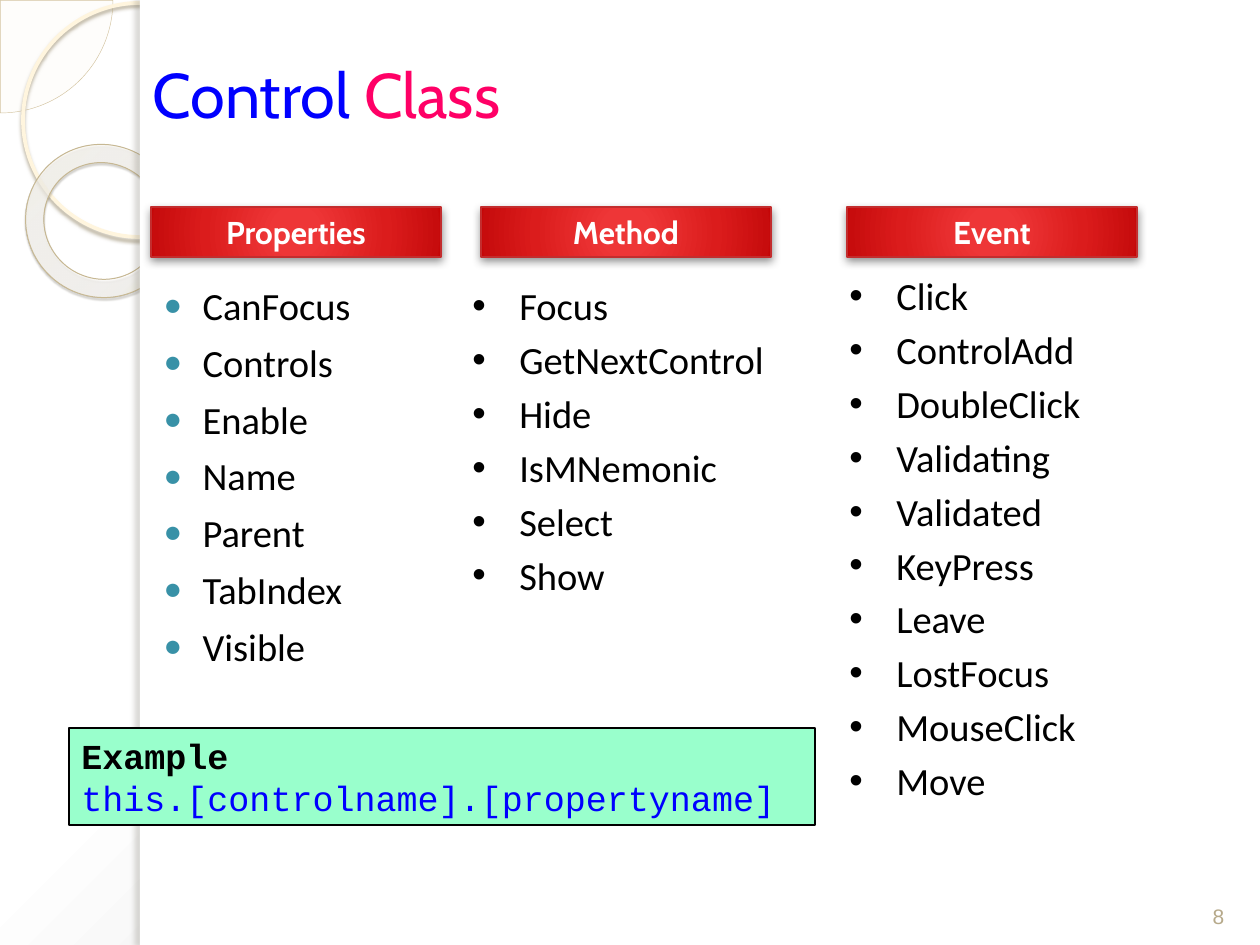
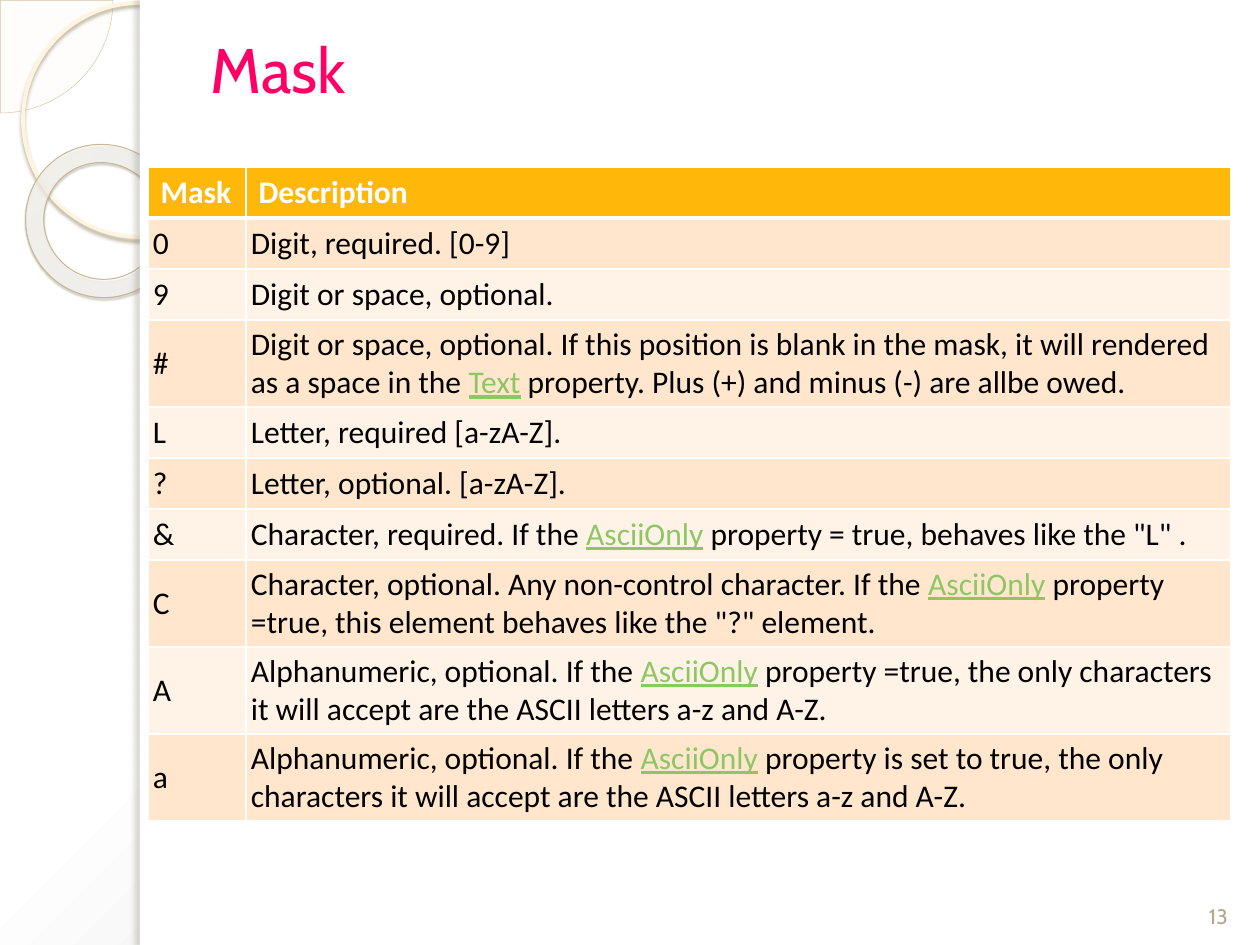
import pptx
import pptx.dml.color
import pptx.enum.shapes
import pptx.enum.text
import pptx.oxml.ns
import pptx.oxml.xmlchemy
import pptx.util
from lxml import etree

RGBColor = pptx.dml.color.RGBColor
SHAPE = pptx.enum.shapes.MSO_SHAPE
ALIGN = pptx.enum.text.PP_ALIGN
ANCHOR = pptx.enum.text.MSO_ANCHOR
Pt = pptx.util.Pt
qn = pptx.oxml.ns.qn

EMU_PER_PX = 914400 / 126

WHITE = RGBColor(0xFF, 0xFF, 0xFF)
BLACK = RGBColor(0x00, 0x00, 0x00)
BLUE = RGBColor(0x00, 0x00, 0xFF)
PINK = RGBColor(0xFF, 0x00, 0x66)
TEAL = RGBColor(0x38, 0x91, 0xA7)
MINT = RGBColor(0x99, 0xFF, 0xCC)
RED_LINE = RGBColor(0xC3, 0x2D, 0x2E)
LINK_GREEN = RGBColor(0x8D, 0xC7, 0x65)
PAGE_TAN = RGBColor(0xB6, 0xA9, 0x8A)
AMBER = RGBColor(0xFE, 0xB8, 0x0A)
BAND_DARK = RGBColor(0xFF, 0xE6, 0xCC)
BAND_LIGHT = RGBColor(0xFF, 0xF3, 0xE7)
CREAM = RGBColor(0xFE, 0xFA, 0xF4)
PIE_LINE = RGBColor(0xD3, 0xC3, 0x9F)
RING_LINE = RGBColor(0xFF, 0xF5, 0xDE)
RING_SHADOW = RGBColor(0xB0, 0xA6, 0x8F)
DONUT_LINE = RGBColor(0xC7, 0xB8, 0x93)
DONUT_SHADOW = RGBColor(0x5A, 0x54, 0x44)
BAND_SHADOW = RGBColor(0x73, 0x6F, 0x63)

# Gradients: stops of (position %, colour, opacity %), then the focus rectangle in %
PAGE_GRADIENT = (
    [(0, WHITE, 100), (40, WHITE, 100), (100, RGBColor(0xC5, 0xC5, 0xC5), 100)],
    (-24, -20, 124, 120))
DONUT_GRADIENT = (
    [(0, RGBColor(0xFF, 0xFC, 0xF6), 70), (70, RGBColor(0xFF, 0xFE, 0xFB), 55),
     (100, RGBColor(0xF0, 0xD2, 0x8E), 60)],
    (-408, -50, 508, 150))
RED_GRADIENT = (
    [(0, RGBColor(0xEF, 0x37, 0x37), 100), (15, RGBColor(0xEE, 0x36, 0x37), 100),
     (62, RGBColor(0xDB, 0x1C, 0x1C), 100), (97, RGBColor(0xC7, 0x0C, 0x0D), 100),
     (100, RGBColor(0xC3, 0x00, 0x01), 100)],
    (50, 50, 50, 50))

PROPERTIES = ["CanFocus", "Controls", "Enable", "Name", "Parent", "TabIndex", "Visible"]
METHODS = ["Focus", "GetNextControl", "Hide", "IsMNemonic", "Select", "Show"]
EVENTS = ["Click", "ControlAdd", "DoubleClick", "Validating", "Validated", "KeyPress",
          "Leave", "LostFocus", "MouseClick", "Move"]

# Every second part of a description is an underlined term
MASKS = [
    ("0", ["Digit, required. [0-9]"]),
    ("9", ["Digit or space, optional."]),
    ("#", ["Digit or space, optional. If this position is blank in the mask, it will "
           "rendered as a space in the ", "Text",
           " property. Plus (+) and minus (-) are allbe owed."]),
    ("L", ["Letter, required [a-zA-Z]."]),
    ("?", ["Letter, optional. [a-zA-Z]."]),
    ("&", ["Character, required. If the ", "AsciiOnly",
           ' property = true, behaves like the "L" .']),
    ("C", ["Character, optional. Any non-control character. If the ", "AsciiOnly",
           ' property =true, this element behaves like the "?" element.']),
    ("A", ["Alphanumeric, optional. If the ", "AsciiOnly",
           " property =true, the only characters it will accept are the ASCII letters "
           "a-z and A-Z."]),
    ("a", ["Alphanumeric, optional. If the ", "AsciiOnly",
           " property is set to true, the only characters it will accept are the ASCII "
           "letters a-z and A-Z."]),
]


def px(length):
    return pptx.util.Emu(round(length * EMU_PER_PX))


def add_xml(parent, tag, **attributes):
    values = {name: str(value) for name, value in attributes.items()}
    return etree.SubElement(parent, qn(tag), values)


def add_color(parent, color, opacity=100):
    node = add_xml(parent, "a:srgbClr", val=color)
    if opacity < 100:
        add_xml(node, "a:alpha", val=opacity * 1000)


def set_gradient(fill, properties, gradient):
    stops, focus = gradient
    fill.gradient()
    node = properties.find(qn("a:gradFill"))
    for child in list(node):
        node.remove(child)
    stop_list = add_xml(node, "a:gsLst")
    for position, color, opacity in stops:
        add_color(add_xml(stop_list, "a:gs", pos=position * 1000), color, opacity)
    circle = add_xml(node, "a:path", path="circle")
    sides = {side: value * 1000 for side, value in zip("ltrb", focus)}
    add_xml(circle, "a:fillToRect", **sides)


def set_shadow(shape, color, opacity, blur, distance, angle):
    effects = shape._element.spPr.find(qn("a:effectLst"))
    shadow = add_xml(effects, "a:outerShdw", blurRad=Pt(blur), dist=Pt(distance),
                     dir=angle * 60000, algn="tl", rotWithShape=0)
    add_color(shadow, color, opacity)


def set_borders(cell, top, bottom):
    properties = cell._tc.get_or_add_tcPr()
    borders = [("a:lnL", 1), ("a:lnR", 1), ("a:lnT", top), ("a:lnB", bottom)]
    for index, (tag, width) in enumerate(borders):
        line = etree.Element(qn(tag), w=str(Pt(width)))
        add_color(add_xml(line, "a:solidFill"), WHITE)
        properties.insert(index, line)


class Deck:
    def __init__(self):
        self.presentation = pptx.Presentation()
        self.presentation.slide_width = px(1260)
        self.presentation.slide_height = px(945)
        self.slide = None

    def start_slide(self, layout_index):
        layout = self.presentation.slide_layouts[layout_index]
        self.slide = self.presentation.slides.add_slide(layout)
        fill = self.slide.background.fill
        fill.solid()
        set_gradient(fill, self.slide._element.find(".//" + qn("p:bgPr")), PAGE_GRADIENT)
        self.side_decoration()

    def side_decoration(self):
        pie = self.shape(SHAPE.PIE, (-112, -112, 225, 225), CREAM, PIE_LINE, 0.25)
        pie.adjustments[0], pie.adjustments[1] = 0, 54.02
        add_xml(pie._element.spPr.find(".//" + qn("a:srgbClr")), "a:alpha", val=33000)
        ring = self.shape(SHAPE.OVAL, (23, 3, 234, 234), None, RING_LINE, 2.15)
        set_shadow(ring, RING_SHADOW, 85, 2, 2, 90)
        donut = self.shape(SHAPE.DONUT, (25, 145, 155, 152), DONUT_GRADIENT, DONUT_LINE, 0.58)
        donut.adjustments[0] = 0.12
        donut.rotation = 38.6
        set_shadow(donut, DONUT_SHADOW, 35, 1, 1.2, 75)
        self.shape(SHAPE.RECTANGLE, (140, 0, 1120, 945), WHITE)
        edge = self.shape(SHAPE.RECTANGLE, (140, 0, 10, 945), WHITE)
        set_shadow(edge, BAND_SHADOW, 25, 3, 3, 180)

    def shape(self, kind, box, fill=None, line=None, line_width=0.75):
        """Add a preset shape; fill is a colour, a gradient or None."""
        shape = self.slide.shapes.add_shape(kind, *map(px, box))
        shape.shadow.inherit = False
        if fill is None:
            shape.fill.background()
        elif isinstance(fill, RGBColor):
            shape.fill.solid()
            shape.fill.fore_color.rgb = fill
        else:
            set_gradient(shape.fill, shape._element.spPr, fill)
        if line is None:
            shape.line.fill.background()
        else:
            shape.line.color.rgb = line
            shape.line.width = Pt(line_width)
        return shape

    def run(self, paragraph, text, size, font, color=BLACK, bold=False, underline=False):
        run = paragraph.add_run()
        run.text = text
        run.font.size = Pt(size)
        run.font.name = font
        run.font.color.rgb = color
        run.font.bold = bold
        run.font.underline = underline

    def place(self, placeholder, box):
        """Move a placeholder to box and in front of the decoration."""
        placeholder.left, placeholder.top, placeholder.width, placeholder.height = map(px, box)
        self.slide.shapes._spTree.append(placeholder._element)

    def title(self, left, top, *parts):
        title = self.slide.shapes.title
        self.place(title, (left, top, 1033, 137))
        title.text_frame.vertical_anchor = ANCHOR.MIDDLE
        paragraph = title.text_frame.paragraphs[0]
        paragraph.alignment = ALIGN.LEFT
        for text, color in parts:
            self.run(paragraph, text, 36, "Cabin", color)

    def bullets(self, frame, items, indent, hanging, space, mark, color=BLACK, percent=100):
        frame.word_wrap = True
        for index, item in enumerate(items):
            paragraph = frame.paragraphs[0] if index == 0 else frame.add_paragraph()
            paragraph.space_before = Pt(space)
            properties = paragraph._p.get_or_add_pPr()
            properties.set("marL", str(px(indent)))
            properties.set("indent", str(-px(hanging)))
            add_color(add_xml(properties, "a:buClr"), color)
            add_xml(properties, "a:buSzPct", val=percent * 1000)
            add_xml(properties, "a:buFont", typeface="Arial")
            add_xml(properties, "a:buChar", char=mark)
            self.run(paragraph, item, 22, "Calibri")

    def body_list(self, box, items):
        body = self.slide.placeholders[1]
        self.place(body, box)
        self.bullets(body.text_frame, items, 50, 39, 6, "●", TEAL, 80)

    def text_list(self, box, items):
        text_box = self.slide.shapes.add_textbox(*map(px, box))
        self.bullets(text_box.text_frame, items, 47, 47, 4.4, "•")

    def column_header(self, left, text):
        header = self.shape(SHAPE.RECTANGLE, (left, 207, 290, 50), RED_GRADIENT, RED_LINE)
        set_shadow(header, BLACK, 43, 5, 2, 90)
        header.text_frame.vertical_anchor = ANCHOR.MIDDLE
        paragraph = header.text_frame.paragraphs[0]
        paragraph.alignment = ALIGN.CENTER
        self.run(paragraph, text, 18, "Cabin", WHITE, bold=True)

    def code_example(self, box, heading, code):
        example = self.shape(SHAPE.RECTANGLE, box, MINT, BLACK)
        frame = example.text_frame
        frame.word_wrap = False
        frame.auto_size = pptx.enum.text.MSO_AUTO_SIZE.SHAPE_TO_FIT_TEXT
        frame.vertical_anchor = ANCHOR.TOP
        self.run(frame.paragraphs[0], heading, 20, "Courier New", bold=True)
        self.run(frame.add_paragraph(), code, 20, "Courier New", BLUE)
        for paragraph in frame.paragraphs:
            paragraph.alignment = ALIGN.LEFT

    def page_number(self, number, font):
        text_box = self.slide.shapes.add_textbox(*map(px, (1187, 869, 63, 66)))
        frame = text_box.text_frame
        frame.word_wrap = True
        frame.vertical_anchor = ANCHOR.BOTTOM
        frame.paragraphs[0].alignment = ALIGN.CENTER
        self.run(frame.paragraphs[0], str(number), 12, font, PAGE_TAN)

    def cell(self, cell, parts, fill, header=False):
        cell.fill.solid()
        cell.fill.fore_color.rgb = fill
        if not header:
            cell.vertical_anchor = ANCHOR.MIDDLE
            cell.margin_left = cell.margin_right = px(5)
            cell.margin_top = cell.margin_bottom = px(5)
        for index, part in enumerate(parts):
            is_term = index % 2 == 1
            color = WHITE if header else LINK_GREEN if is_term else BLACK
            self.run(cell.text_frame.paragraphs[0], part, 18, "Calibri", color,
                     bold=header, underline=is_term)

    def mask_table(self, left, top, widths, headings, rows):
        heights = [51] + [87 if len("".join(parts)) > 80 else 51 for _, parts in rows]
        frame = self.slide.shapes.add_table(
            len(heights), len(widths), px(left), px(top), px(sum(widths)), px(sum(heights)))
        table = frame.table
        table.horz_banding = False
        for column, width in zip(table.columns, widths):
            column.width = px(width)
        for row, height in zip(table.rows, heights):
            row.height = px(height)
        contents = [[[heading] for heading in headings]]
        contents += [[[mask], parts] for mask, parts in rows]
        for row_index, row in enumerate(contents):
            header = row_index == 0
            fill = AMBER if header else BAND_DARK if row_index % 2 else BAND_LIGHT
            for column_index, parts in enumerate(row):
                cell = table.cell(row_index, column_index)
                self.cell(cell, parts, fill, header)
                set_borders(cell, 3 if row_index == 1 else 1, 3 if header else 1)


def main():
    deck = Deck()

    deck.start_slide(1)
    deck.title(140, 25, ("Control", BLUE), (" Class", PINK))
    deck.body_list((140, 276, 302, 438), PROPERTIES)
    deck.page_number(8, "Arial")
    for left, heading in ((151, "Properties"), (481, "Method"), (847, "Event")):
        deck.column_header(left, heading)
    deck.text_list((460, 276, 328, 451), METHODS)
    deck.text_list((837, 266, 357, 559), EVENTS)
    deck.code_example((69, 728, 746, 97), "Example", "this.[controlname].[propertyname]")

    deck.start_slide(5)
    deck.title(198, 0, ("Mask", PINK))
    deck.mask_table(148, 167, (98, 985), ("Mask", "Description"), MASKS)
    deck.page_number(13, "Cabin")

    deck.presentation.save("out.pptx")


if __name__ == "__main__":
    main()
